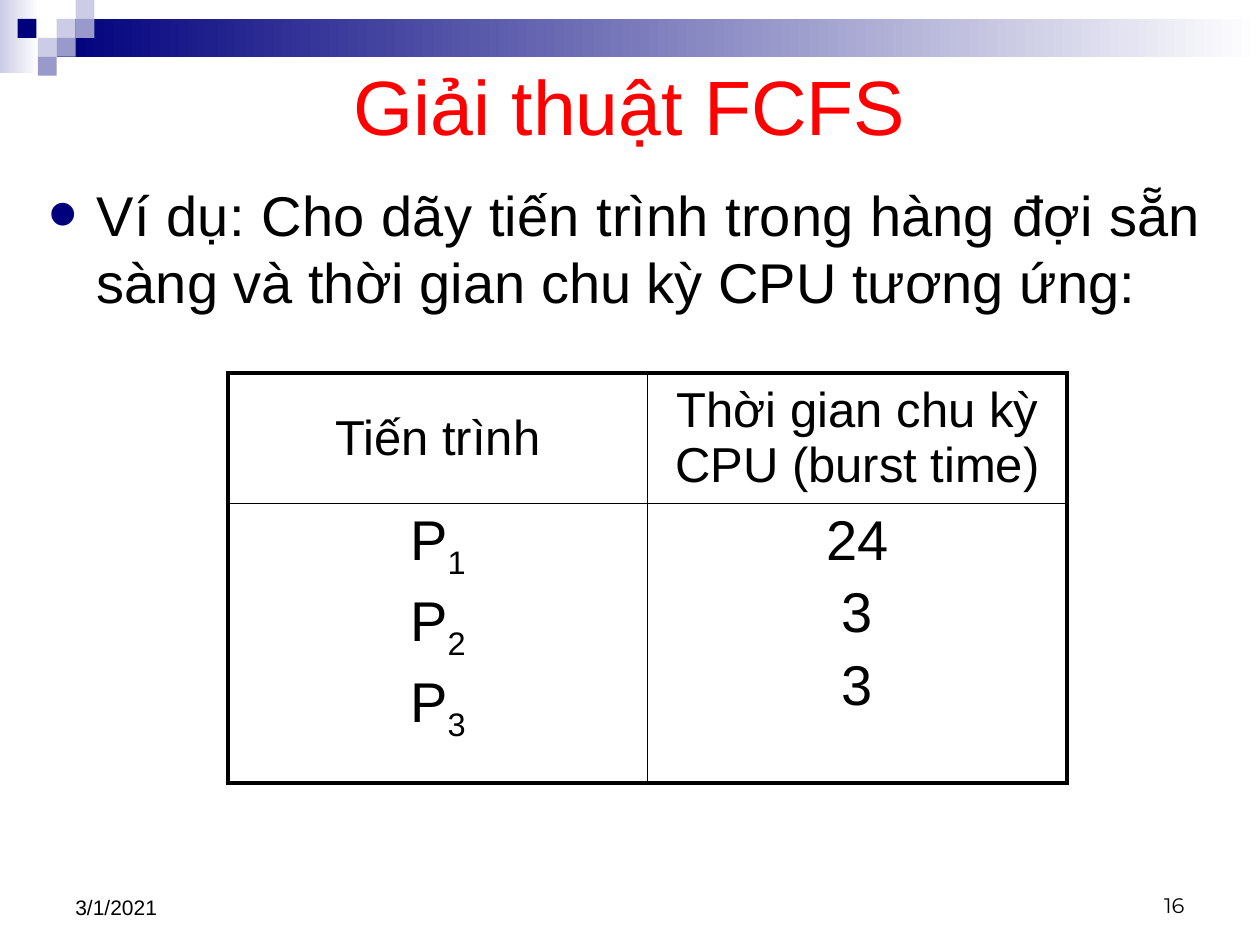
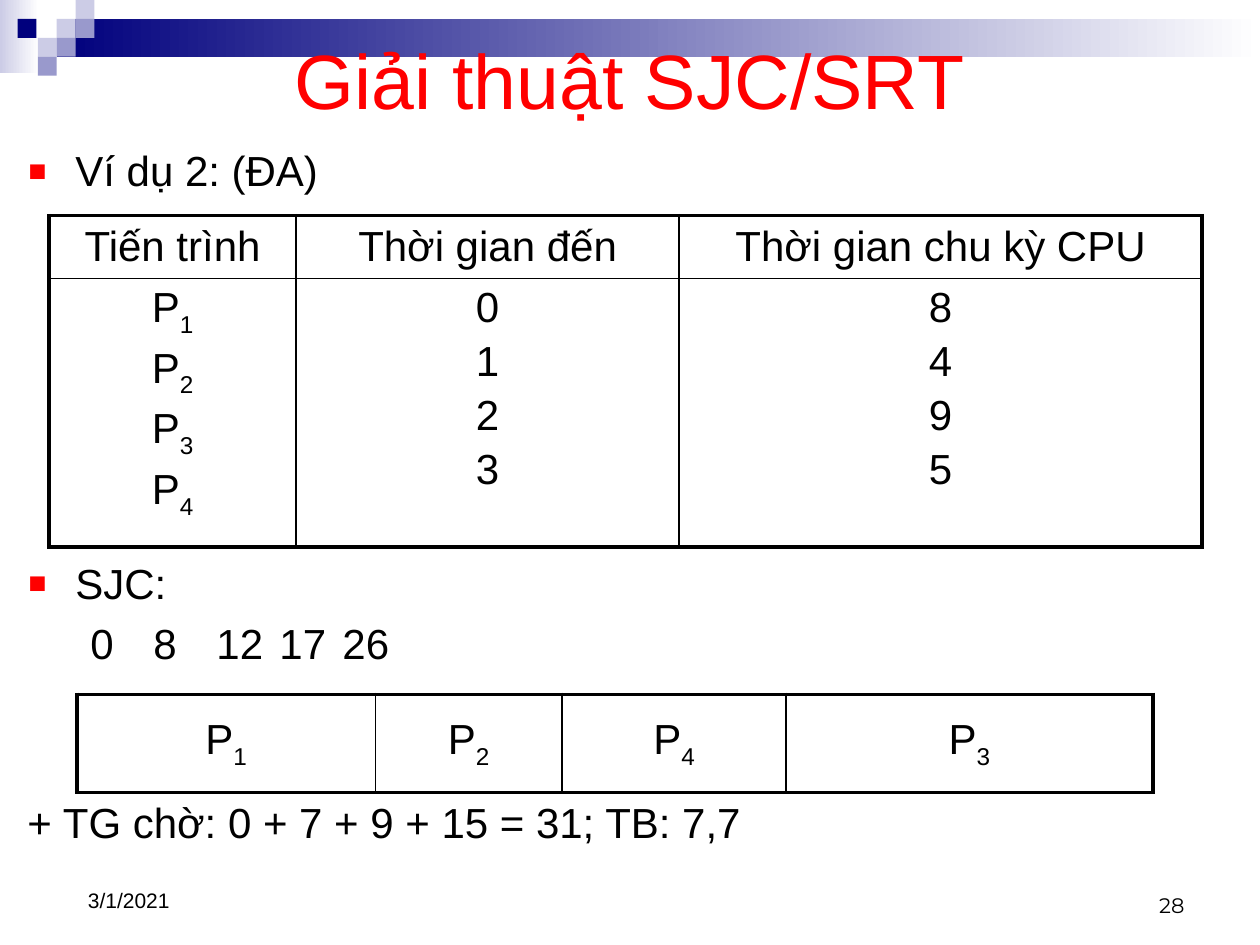
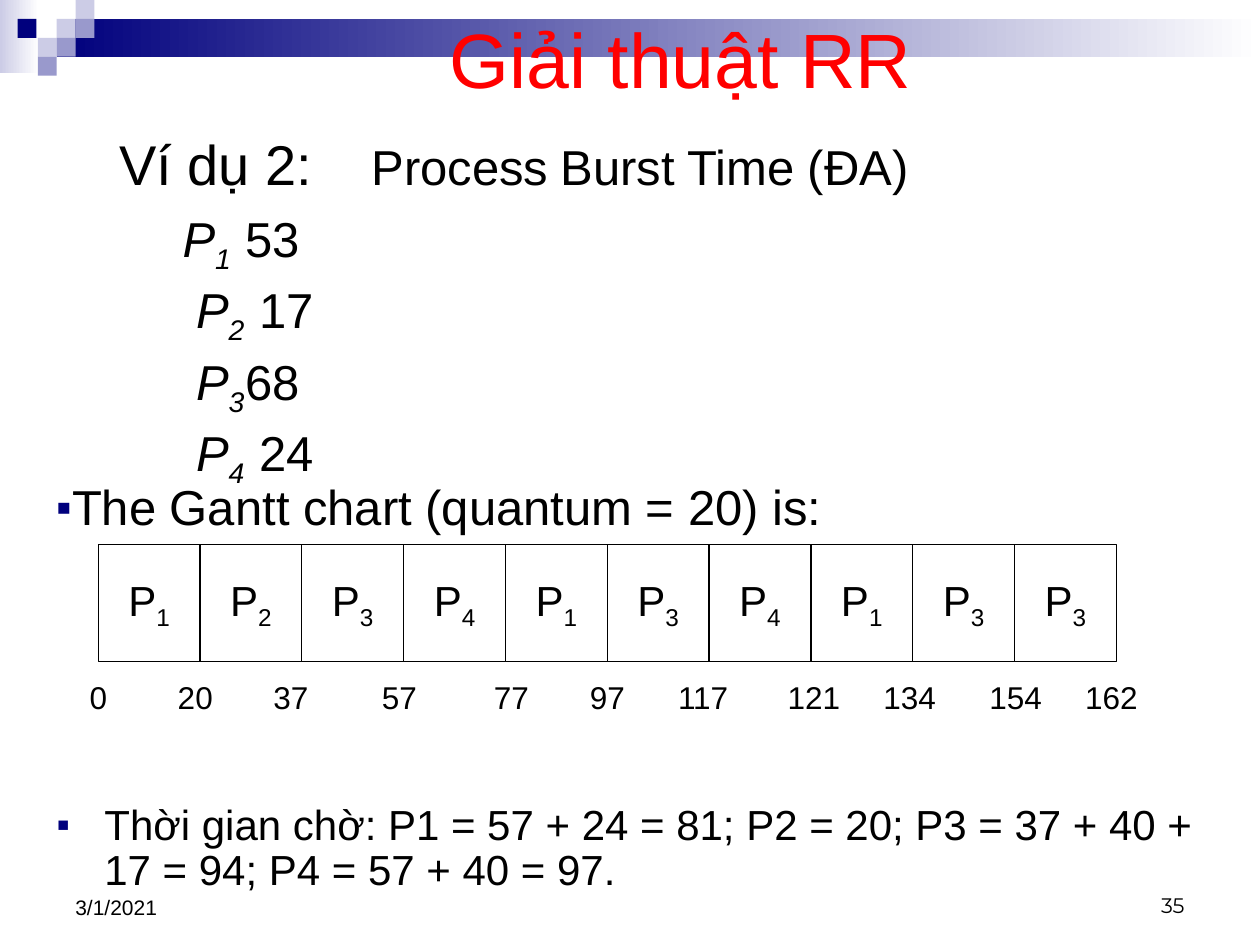
from lxml.etree import SubElement
from pptx import Presentation
from pptx.dml.color import RGBColor
from pptx.enum.shapes import MSO_SHAPE
from pptx.enum.text import MSO_ANCHOR as Anchor, PP_ALIGN as Align
from pptx.oxml import parse_xml
from pptx.oxml.ns import nsdecls, qn
from pptx.util import Inches, Pt

# Shared look
FONT, NUMBER_FONT = "Arial", "Montserrat"
BLACK, WHITE, RED = "000000", "FFFFFF", "FF0000"
NAVY, LILAC, LAVENDER = "00007D", "9999CC", "CCCCE6"
THICK, THIN = 2.25, 1
DATE = "3/1/2021"
BANDS = [((0, 0, 0.31, 0.58), LAVENDER), ((0.45, 0.15, 9.55, 0.3), NAVY)]
SQUARE = 0.15
SQUARES = [  # column, row, colour
    (3, 1, LAVENDER), (4, 0, LAVENDER), (4, 1, LILAC), (2, 2, LAVENDER),
    (0.93, 1, NAVY), (3, 2, LILAC), (2, 3, LILAC),
]

# Slide content: "_" sets the next character as a subscript
FCFS_INTRO = ("Ví dụ: Cho dãy tiến trình trong hàng đợi sẵn sàng "
              "và thời gian chu kỳ CPU tương ứng:")
FCFS_TABLE = [
    [["Tiến trình"], ["Thời gian chu kỳ CPU (burst time)"]],
    [["P_1", "P_2", "P_3"], ["24", "3", "3"]],
]

SJC_TABLE = [
    [["Tiến trình"], ["Thời gian đến"], ["Thời gian chu kỳ CPU"]],
    [["P_1", "P_2", "P_3", "P_4"], ["0", "1", "2", "3"], ["8", "4", "9", "5"]],
]
SJC_TICKS = [("0", 0.37), ("8", 2.68), ("12", 3.98), ("17", 5.92), ("26", 8.69)]
SJC_GANTT = [[["P_1"], ["P_2"], ["P_4"], ["P_3"]]]
SJC_WAIT = "+ TG chờ: 0 + 7 + 9 + 15 = 31; TB: 7,7"

RR_TABS = [0.38, 1.38, 2.38, 4.38]
RR_BURSTS = [("", "P_1", "53"), (" ", "P_2", " 17"),
             (" ", "P_3", "68"), (" ", "P_4", " 24")]
RR_GANTT = ["P_1", "P_2", "P_3", "P_4", "P_1", "P_3", "P_4", "P_1", "P_3", "P_3"]
RR_TICKS = [  # time, centre of its label
    ("0", 0.78), ("20", 1.55), ("37", 2.31), ("57", 3.17), ("77", 4.06),
    ("97", 4.82), ("117", 5.58), ("121", 6.46), ("134", 7.22),
    ("154", 8.06), ("162", 8.82),
]
RR_WAIT = ("Thời gian chờ: P1 = 57 + 24 = 81; P2 = 20; "
           "P3 = 37 + 40 + 17 = 94; P4 = 57 + 40 = 97.")


def color(value):
    """Turn a hex string into a colour."""
    return RGBColor.from_string(value)


def place(box):
    """Turn left, top, width, height in inches into lengths."""
    return [Inches(value) for value in box]


def add_runs(paragraph, text, italic=None):
    """Add text, setting the character after each underscore as a subscript."""
    first, *others = text.split("_")
    pieces = [(first, False)]
    for other in others:
        pieces += [(other[0], True), (other[1:], False)]
    for piece, is_subscript in pieces:
        if piece:
            run = paragraph.add_run()
            run.text = piece
            run.font.italic = italic
            if is_subscript:
                run.font._element.set("baseline", "-25000")


def set_font(paragraph, size, hex_color=BLACK, name=FONT):
    """Set the font that all runs of a paragraph share."""
    font = paragraph.font
    font.size, font.name = Pt(size), name
    font.color.rgb = color(hex_color)


def set_indent(paragraph, margin, bullet=None):
    """Set a hanging indent with a bullet given as character, colour, percent."""
    properties = paragraph._p.get_or_add_pPr()
    properties.set("marL", str(Inches(margin)))
    properties.set("indent", str(-Inches(margin)))
    if bullet:
        character, hex_color, percent = bullet
        bullet_color = SubElement(properties, qn("a:buClr"))
        SubElement(bullet_color, qn("a:srgbClr"), val=hex_color)
        SubElement(properties, qn("a:buSzPct"), val=str(percent * 1000))
        SubElement(properties, qn("a:buFont"), typeface=FONT)
        SubElement(properties, qn("a:buChar"), char=character)


def set_tabs(paragraph, positions):
    """Set left tab stops, in inches from the text edge."""
    tabs = SubElement(paragraph._p.get_or_add_pPr(), qn("a:tabLst"))
    for position in positions:
        SubElement(tabs, qn("a:tab"), pos=str(Inches(position)), algn="l")


def next_paragraph(frame):
    """Return the unused first paragraph of a frame, or a new one."""
    first = frame.paragraphs[0]
    return frame.add_paragraph() if first.runs else first


def add_paragraph(frame, text, size, before=0, align=Align.LEFT, margin=0,
                  bullet=None, tabs=(), line_spacing=None):
    """Add one formatted paragraph to a text frame."""
    paragraph = next_paragraph(frame)
    paragraph.alignment = align
    paragraph.space_before = Pt(before)
    if line_spacing:
        paragraph.line_spacing = line_spacing
    set_indent(paragraph, margin, bullet)
    if tabs:
        set_tabs(paragraph, tabs)
    set_font(paragraph, size)
    add_runs(paragraph, text)
    return paragraph


def add_frame(slide, box, anchor=Anchor.TOP, wrap=True):
    """Add a text box and return its text frame."""
    frame = slide.shapes.add_textbox(*place(box)).text_frame
    frame.word_wrap, frame.vertical_anchor = wrap, anchor
    return frame


def add_label(slide, box, text, size, align, anchor, hex_color=BLACK, name=FONT):
    """Add a text box with a single line."""
    paragraph = add_frame(slide, box, anchor).paragraphs[0]
    paragraph.alignment = align
    set_font(paragraph, size, hex_color, name)
    add_runs(paragraph, text)


def add_rectangle(shapes, box, hex_color):
    """Add a plain rectangle without line or shadow."""
    shape = shapes.add_shape(MSO_SHAPE.RECTANGLE, *place(box))
    shape.shadow.inherit = False
    shape.fill.solid()
    shape.fill.fore_color.rgb = color(hex_color)
    shape.line.fill.background()
    return shape


def decorate_master(presentation, slide):
    """Draw the bands and squares as a group and move it to the master."""
    group = slide.shapes.add_group_shape()
    for box, hex_color in BANDS:
        fill = add_rectangle(group.shapes, box, hex_color).fill
        fill.gradient()
        fill.gradient_angle = 0
        for stop, stop_color in zip(fill.gradient_stops, (hex_color, WHITE)):
            stop.color.rgb = color(stop_color)
    for column, row, hex_color in SQUARES:
        box = (column * SQUARE, row * SQUARE, SQUARE, SQUARE)
        add_rectangle(group.shapes, box, hex_color)
    for number, properties in enumerate(group.element.xpath(".//p:cNvPr"), 100):
        properties.set("id", str(number))
    presentation.slide_master.shapes.element.append(group.element)


def add_slide(presentation, title, title_box, number, date_at=(0.5, 6.83)):
    """Add a slide with its title, date and number."""
    slide = presentation.slides.add_slide(presentation.slide_layouts[6])
    add_label(slide, title_box, title, 44, Align.CENTER, Anchor.MIDDLE, RED)
    add_label(slide, (*date_at, 2.33, 0.52), DATE, 12, Align.LEFT, Anchor.BOTTOM)
    add_label(slide, (7.17, 6.83, 2.33, 0.5), number, 12, Align.RIGHT,
              Anchor.BOTTOM, name=NUMBER_FONT)
    return slide


def set_borders(cell, widths):
    """Draw the left, right, top and bottom borders of a cell."""
    properties = cell._tc.get_or_add_tcPr()
    for index, (side, width) in enumerate(zip("LRTB", widths)):
        properties.insert(index, parse_xml(
            f'<a:ln{side} {nsdecls("a")} w="{Pt(width)}"><a:solidFill>'
            f'<a:srgbClr val="{BLACK}"/></a:solidFill></a:ln{side}>'))


def add_grid(slide, at, widths, heights, rows, sizes, before):
    """Add a table with a thick frame, thin inner lines and centred text."""
    box = (*at, sum(widths), sum(heights))
    table = slide.shapes.add_table(len(rows), len(widths), *place(box)).table
    table.first_row = table.horz_banding = False
    for column, width in zip(table.columns, widths):
        column.width = Inches(width)
    for row, height in zip(table.rows, heights):
        row.height = Inches(height)
    last_row, last_column = len(rows) - 1, len(widths) - 1
    for row_index, row in enumerate(rows):
        for column_index, lines in enumerate(row):
            cell = table.cell(row_index, column_index)
            cell.fill.background()
            edges = (column_index == 0, column_index == last_column,
                     row_index == 0, row_index == last_row)
            set_borders(cell, [THICK if edge else THIN for edge in edges])
            cell.vertical_anchor = Anchor.MIDDLE if row_index == 0 else Anchor.TOP
            for line in lines:
                add_paragraph(cell.text_frame, line, sizes[row_index],
                              before if len(lines) > 1 else 0, Align.CENTER)


def build_fcfs(presentation):
    """Build the first-come, first-served slide."""
    slide = add_slide(presentation, "Giải thuật FCFS", (0.5, 0.38, 9, 0.9), "16")
    decorate_master(presentation, slide)
    frame = add_frame(slide, (0.29, 1.38, 9.35, 5.57))
    add_paragraph(frame, FCFS_INTRO, 32, 6.4, Align.JUSTIFY, 0.38,
                  ("•", NAVY, 150))
    add_grid(slide, (1.81, 2.96), [3.33, 3.33], [0.97, 2.22], FCFS_TABLE,
             [28, 32], 5.5)


def build_sjc(presentation):
    """Build the shortest-job slide."""
    slide = add_slide(presentation, "Giải thuật SJC/SRT", (0.5, 0.38, 9, 0.49),
                      "28", (0.6, 6.77))
    frame = add_frame(slide, (0.12, 1.1, 9.57, 5.85))
    bullet = ("▪", RED, 140)
    add_paragraph(frame, "Ví dụ 2: (ĐA)", 24, 4.8, margin=0.38, bullet=bullet)
    add_paragraph(frame, "SJC:", 24, 207, margin=0.38, bullet=bullet)
    ticks = "".join("\t" + time for time, _ in SJC_TICKS)
    add_paragraph(frame, ticks, 24, 5.5, tabs=[left for _, left in SJC_TICKS])
    add_paragraph(frame, SJC_WAIT, 24, 73.5)
    add_grid(slide, (0.39, 1.71), [1.96, 3.04, 4.15], [0.47, 2.13], SJC_TABLE,
             [24, 24], 4)
    add_grid(slide, (0.61, 5.51), [2.37, 1.48, 1.78, 2.91], [0.78], SJC_GANTT,
             [24], 0)


def build_rr(presentation):
    """Build the round-robin slide."""
    slide = add_slide(presentation, "Giải thuật RR", (1, 0, 8.81, 0.92), "35")
    frame = add_frame(slide, (0.35, 1.04, 9.38, 5.98))
    heading = add_paragraph(frame, "\tVí dụ 2:", 32, 6.4, tabs=RR_TABS,
                            line_spacing=0.9)
    run = heading.add_run()
    run.text = "\tProcess\tBurst Time (ĐA)"
    run.font.size = Pt(28)
    for lead, name, burst in RR_BURSTS:
        row = add_paragraph(frame, "\t\t" + lead, 28, 6.4, tabs=RR_TABS,
                            line_spacing=0.9)
        add_runs(row, name, italic=True)
        add_runs(row, "\t" + burst)
    bullet = ("▪", NAVY, 90)
    add_paragraph(frame, "The Gantt chart (quantum = 20) is:", 28, margin=0.12,
                  bullet=bullet, line_spacing=0.9)
    add_paragraph(frame, RR_WAIT, 24, 153, margin=0.38, bullet=bullet,
                  line_spacing=0.9)

    left, top, width, height = 0.78, 4.32, 0.808, 0.93
    for index, name in enumerate(RR_GANTT):
        box = (left + index * width, top, width, height)
        shape = add_rectangle(slide.shapes, box, WHITE)
        shape.line.color.rgb = color(BLACK)
        shape.line.width = Pt(0.75)
        shape.text_frame.word_wrap = False
        shape.text_frame.vertical_anchor = Anchor.MIDDLE
        add_paragraph(shape.text_frame, name, 24, align=Align.CENTER)
    for time, center in RR_TICKS:
        label_width = 0.27 + 0.18 * len(time)
        box = (center - label_width / 2, top + height, label_width, 0.56)
        tick = add_frame(slide, box, Anchor.MIDDLE, wrap=False)
        add_paragraph(tick, time, 18, align=Align.CENTER)


def main():
    """Build and save the presentation."""
    presentation = Presentation()
    presentation.slide_width, presentation.slide_height = Inches(10), Inches(7.5)
    build_fcfs(presentation)
    build_sjc(presentation)
    build_rr(presentation)
    presentation.save("out.pptx")


main()
